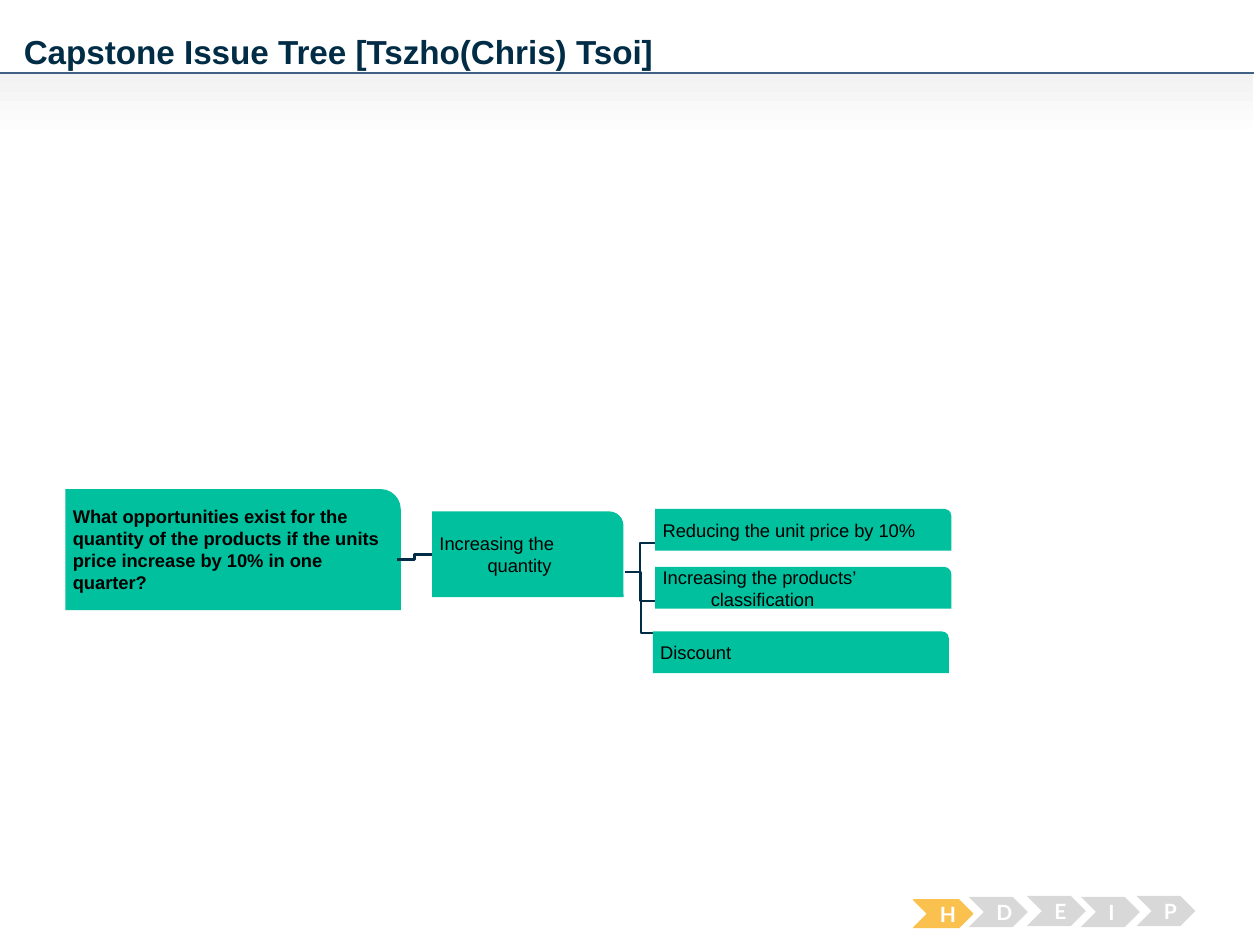
from lxml.etree import SubElement
from pptx import Presentation
from pptx.dml.color import RGBColor
from pptx.enum.shapes import MSO_CONNECTOR, MSO_SHAPE
from pptx.enum.text import MSO_ANCHOR, PP_ALIGN
from pptx.oxml.ns import qn
from pptx.util import Cm, Pt

GREEN, NAVY, BLACK, WHITE = "00C09D", "002C46", "000000", "FFFFFF"
AMBER, GREY, BLUE = "FBC14E", "D8D8D8", "406085"
HANGING = Cm(0.97)


def rgb(value):
    return RGBColor.from_string(value)


def set_attrs(obj, values):
    for name, value in values.items():
        setattr(obj, name, value)


def add_text(sp, text, font, color, margins, anchor=MSO_ANCHOR.MIDDLE, align=PP_ALIGN.LEFT):
    tf = sp.text_frame
    set_attrs(tf, {"word_wrap": True, "vertical_anchor": anchor})
    sides = ("margin_left", "margin_top", "margin_right", "margin_bottom")
    set_attrs(tf, {side: Cm(value) for side, value in zip(sides, margins)})
    p = tf.paragraphs[0]
    p.alignment = align
    r = p.add_run()
    r.text = text
    set_attrs(r.font, font)
    r.font.color.rgb = rgb(color)
    return p


def add_box(s, kind, at, fill, line=None):
    sp = s.shapes.add_shape(kind, *map(Cm, at))
    sp.shadow.inherit = False
    sp.fill.solid()
    sp.fill.fore_color.rgb = rgb(fill)
    if line:
        sp.line.color.rgb = rgb(line)
        sp.line.width = Pt(0.75)
    else:
        sp.line.fill.background()
    return sp


def add_node(s, text, at):
    sp = add_box(s, MSO_SHAPE.ROUND_1_RECTANGLE, at, GREEN)
    font = {"name": "Arial", "size": Pt(10.5)}
    p = add_text(sp, text, font, BLACK, (0.15, 0.13, 0.13, 0.13))
    pPr = p._p.get_or_add_pPr()
    pPr.set("marL", str(HANGING))
    pPr.set("indent", str(-HANGING))


def add_question(s, text, at):
    sp = add_box(s, MSO_SHAPE.ROUND_1_RECTANGLE, at, GREEN)
    font = {"name": "Arial", "size": Pt(10.5), "bold": True}
    add_text(sp, text, font, BLACK, (0.15, 0, 0, 0))


def add_line(s, kind, ends, color, width, rotation=0):
    c = s.shapes.add_connector(kind, *map(Cm, ends))
    c.line.color.rgb = rgb(color)
    c.line.width = Pt(width)
    spPr = c._element.spPr
    SubElement(spPr, qn("a:effectLst"))
    if rotation:
        spPr.find(qn("a:xfrm")).set("rot", str(rotation * 60000))


def add_header(s, title):
    sp = s.shapes.add_textbox(Cm(0.48), Cm(0.64), Cm(23.95), Cm(0.84))
    font = {"name": "Arial", "size": Pt(19), "bold": True}
    add_text(sp, title, font, NAVY, (0, 0, 0, 0), MSO_ANCHOR.TOP)
    band = add_box(s, MSO_SHAPE.RECTANGLE, (-0.13, 1.47, 25.4, 1.32), WHITE)
    band.fill.gradient()
    band.fill.gradient_angle = 270
    for stop, color in zip(band.fill.gradient_stops, ("F2F2F2", WHITE)):
        stop.color.rgb = rgb(color)
    add_line(s, MSO_CONNECTOR.STRAIGHT, (-0.13, 1.47, 25.27, 1.47), BLUE, 0.75)


def add_step(s, letter, left, top, height, fill, line=None):
    sp = add_box(s, MSO_SHAPE.CHEVRON, (left, top, 1.19, height), fill, line)
    font = {"name": "Lato", "size": Pt(12), "bold": True}
    add_text(sp, letter, font, WHITE, (0.25, 0.13, 0.25, 0.13), align=PP_ALIGN.CENTER)


def main():
    prs = Presentation()
    set_attrs(prs, {"slide_width": Cm(25.4), "slide_height": Cm(19.05)})
    s = prs.slides.add_slide(prs.slide_layouts[6])

    add_header(s, "Capstone Issue Tree [Tszho(Chris) Tsoi]")
    add_question(
        s,
        "What opportunities exist for the quantity of the products "
        "if the units price increase by 10% in one quarter?",
        (1.32, 9.86, 6.76, 2.44),
    )
    add_node(s, "Increasing the quantity", (8.71, 10.31, 3.86, 1.73))

    for ends, rotation in (
        ((12.6, 11.53, 13.21, 10.95), 0),
        ((12.6, 11.53, 13.23, 12.12), 0),
        ((13.82, 12.52, 12.5, 13), 270),
        ((8, 11.28, 8.71, 11.18), 0),
    ):
        add_line(s, MSO_CONNECTOR.ELBOW, ends, NAVY, 1.5, rotation)

    for text, left, top in (
        ("Reducing the unit price by 10%", 13.21, 10.26),
        ("Increasing the products’ classification", 13.21, 11.43),
        ("Discount", 13.16, 12.73),
    ):
        add_node(s, text, (left, top, 5.97, 0.84))

    add_step(s, "H", 18.42, 18.14, 0.56, AMBER, AMBER)
    for letter, left, top in (
        ("D", 19.53, 18.08),
        ("E", 20.7, 18.06),
        ("I", 21.79, 18.08),
        ("P", 22.91, 18.06),
    ):
        add_step(s, letter, left, top, 0.61, GREY)

    prs.save("out.pptx")


if __name__ == "__main__":
    main()
